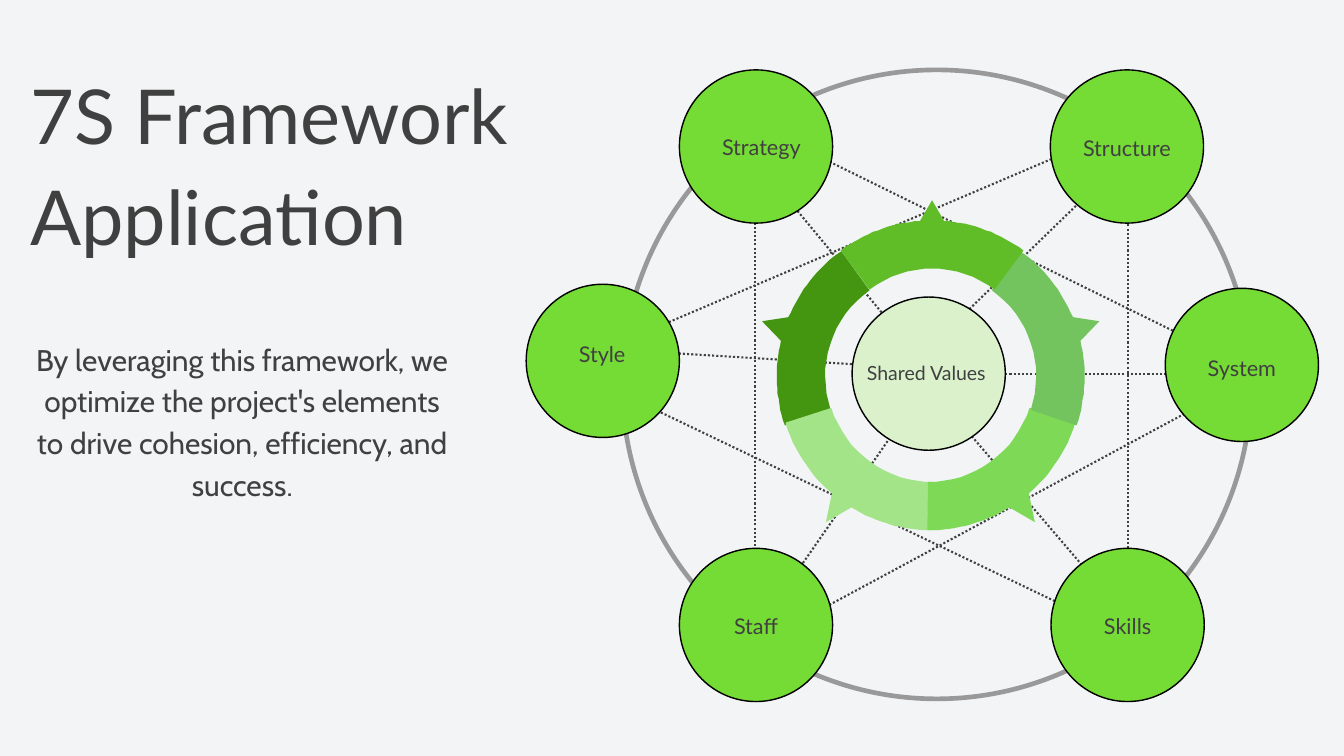
from math import cos, radians, sin

from pptx import Presentation
from pptx.dml.color import RGBColor
from pptx.enum.dml import MSO_LINE
from pptx.enum.shapes import MSO_CONNECTOR, MSO_SHAPE
from pptx.enum.text import MSO_ANCHOR, MSO_AUTO_SIZE, PP_ALIGN
from pptx.oxml.ns import qn
from pptx.util import Pt
from lxml import etree

PX = 9144  # 100 px to the inch
OVAL, STRAIGHT, DOTTED = MSO_SHAPE.OVAL, MSO_CONNECTOR.STRAIGHT, MSO_LINE.ROUND_DOT
LEFT, CENTER, TOP = PP_ALIGN.LEFT, PP_ALIGN.CENTER, MSO_ANCHOR.TOP
NO_FIT = MSO_AUTO_SIZE.NONE

BACKGROUND = RGBColor(0xF2, 0xF4, 0xF5)
DARK = RGBColor(0x40, 0x40, 0x40)
BLACK = RGBColor(0x00, 0x00, 0x00)
GREY = RGBColor(0x99, 0x99, 0x99)
GREEN = RGBColor(0x75, 0xDB, 0x35)
PALE = RGBColor(0xDA, 0xF1, 0xCC)

TITLE = ["7S Framework", "Application"]
BODY = ["By leveraging this framework, we optimize the project's elements "
        "to drive cohesion, efficiency, and success."]
TITLE_FORMAT = {"name": "Lato", "size": Pt(81.1)}
BODY_FORMAT = {"name": "Cabin", "size": Pt(32)}
LABEL_FORMAT = {"name": "Lato", "size": Pt(23.2)}
CORE_FORMAT = {"name": "Lato", "size": Pt(20.9)}

# name, circle left and top, label left and top, label line spacing
DIAMETER = 228
ELEMENTS = [
    ("Structure", 1563, 104, 1563, 194, 32.5),
    ("Skills", 1564, 816, 1564, 906, 32.5),
    ("System", 1734, 429, 1734, 521, 32.5),
    ("Staff", 1011, 816, 1011, 906, 32.5),
    ("Strategy", 1011, 104, 1019, 193, 32.5),
    ("Style", 783, 423, 782, 507, 27.9),
]
# from x, from y, to x, to y
LINKS = [
    (1434, 635, 1641, 877), (1010, 526, 1481, 555), (1167, 290, 1336, 494),
    (1335, 636, 1167, 878), (1496, 556, 1791, 556), (1619, 289, 1394, 507),
    (1678, 816, 1678, 288), (1229, 238, 1745, 492), (1124, 331, 1124, 816),
    (961, 494, 1564, 237), (961, 603, 1604, 911), (1790, 601, 1214, 911),
]
# direction in degrees, centre x and y, tip radius, colour
INNER, OUTER = 157, 229
SEGMENTS = [
    (198, 1385, 560, 264, RGBColor(0x44, 0x96, 0x10)),
    (126, 1387, 560, 268, RGBColor(0xA4, 0xE4, 0x89)),
    (54, 1382, 560, 268, RGBColor(0x7E, 0xD9, 0x57)),
    (-18, 1385, 560, 264, RGBColor(0x73, 0xC4, 0x5F)),
    (-90, 1387, 557, 259, RGBColor(0x61, 0xBD, 0x27)),
]
HALF_SEGMENT, HALF_TIP, ARC_STEPS = 36.5, 4.5, 16


def px(*lengths):
    return [length * PX for length in lengths]


def write(box, lines, text_format, spacing, align):
    frame = box.text_frame
    frame.word_wrap, frame.auto_size, frame.vertical_anchor = True, NO_FIT, TOP
    for side in ("left", "top", "right", "bottom"):
        setattr(frame, f"margin_{side}", 0)
    frame.text = "\n".join(lines)
    for para in frame.paragraphs:
        para.alignment, para.line_spacing = align, Pt(spacing)
        para.space_before = Pt(0)
        para.font.color.rgb = DARK
        for key, value in text_format.items():
            setattr(para.font, key, value)


def fill_placeholder(box, place, *text):
    box.left, box.top, box.width, box.height = px(*place)
    write(box, *text)


def add_circle(slide, left, top, diameter, fill, line, weight):
    circle = slide.shapes.add_shape(OVAL, *px(left, top, diameter, diameter))
    circle.shadow.inherit = False
    if fill is None:
        circle.fill.background()
    else:
        circle.fill.solid()
        circle.fill.fore_color.rgb = fill
    circle.line.color.rgb, circle.line.width = line, Pt(weight)


def add_label(slide, place, text, *text_style):
    write(slide.shapes.add_textbox(*px(*place)), [text], *text_style, CENTER)


def add_link(slide, ends):
    link = slide.shapes.add_connector(STRAIGHT, *px(*ends))
    link.line.color.rgb, link.line.width = DARK, Pt(2.25)
    link.line.dash_style = DOTTED
    etree.SubElement(link._element.spPr, qn("a:effectLst"))


def add_segment(slide, direction, center_x, center_y, tip, color):
    """Draw a curved band whose outer edge carries a pointed tip."""
    def point(radius, offset):
        angle = radians(direction + offset)
        return center_x + radius * cos(angle), center_y + radius * sin(angle)

    def arc(radius, start, end):
        step = (end - start) / ARC_STEPS
        return [point(radius, start + step * i) for i in range(ARC_STEPS + 1)]

    outline = (arc(OUTER, -HALF_SEGMENT, -HALF_TIP) + [point(tip, 0)]
               + arc(OUTER, HALF_TIP, HALF_SEGMENT)
               + arc(INNER, HALF_SEGMENT, -HALF_SEGMENT))
    builder = slide.shapes.build_freeform(*outline[0], scale=PX)
    builder.add_line_segments(outline[1:], close=True)
    segment = builder.convert_to_shape()
    segment.shadow.inherit = False
    segment.fill.solid()
    segment.fill.fore_color.rgb = color
    segment.line.fill.background()


def main():
    deck = Presentation()
    deck.slide_width, deck.slide_height = px(2000, 1125)
    slide = deck.slides.add_slide(deck.slide_layouts[1])
    slide.background.fill.solid()
    slide.background.fill.fore_color.rgb = BACKGROUND

    title, body = slide.placeholders
    fill_placeholder(title, (45, 88, 754, 296), TITLE, TITLE_FORMAT, 107.8, LEFT)
    fill_placeholder(body, (45, 499, 631, 305), BODY, BODY_FORMAT, 44.8, CENTER)
    for para in body.text_frame.paragraphs:
        properties = para._p.get_or_add_pPr()
        properties.set("marL", "0")
        properties.set("indent", "0")
        properties.insert_element_before(
            etree.Element(qn("a:buNone")), "a:tabLst", "a:defRPr", "a:extLst")

    add_circle(slide, 926, 104, 936, None, GREY, 5)
    for ends in LINKS:
        add_link(slide, ends)
    for name, left, top, label_left, label_top, spacing in ELEMENTS:
        add_circle(slide, left, top, DIAMETER, GREEN, BLACK, 1.5)
        add_label(slide, (label_left, label_top, DIAMETER, 43), name,
                  LABEL_FORMAT, spacing)
    add_circle(slide, 1268, 442, DIAMETER, PALE, BLACK, 1.5)
    add_label(slide, (1276, 531, 205, 40), "Shared Values", CORE_FORMAT, 29.3)
    for segment in SEGMENTS:
        add_segment(slide, *segment)

    deck.save("out.pptx")


if __name__ == "__main__":
    main()
